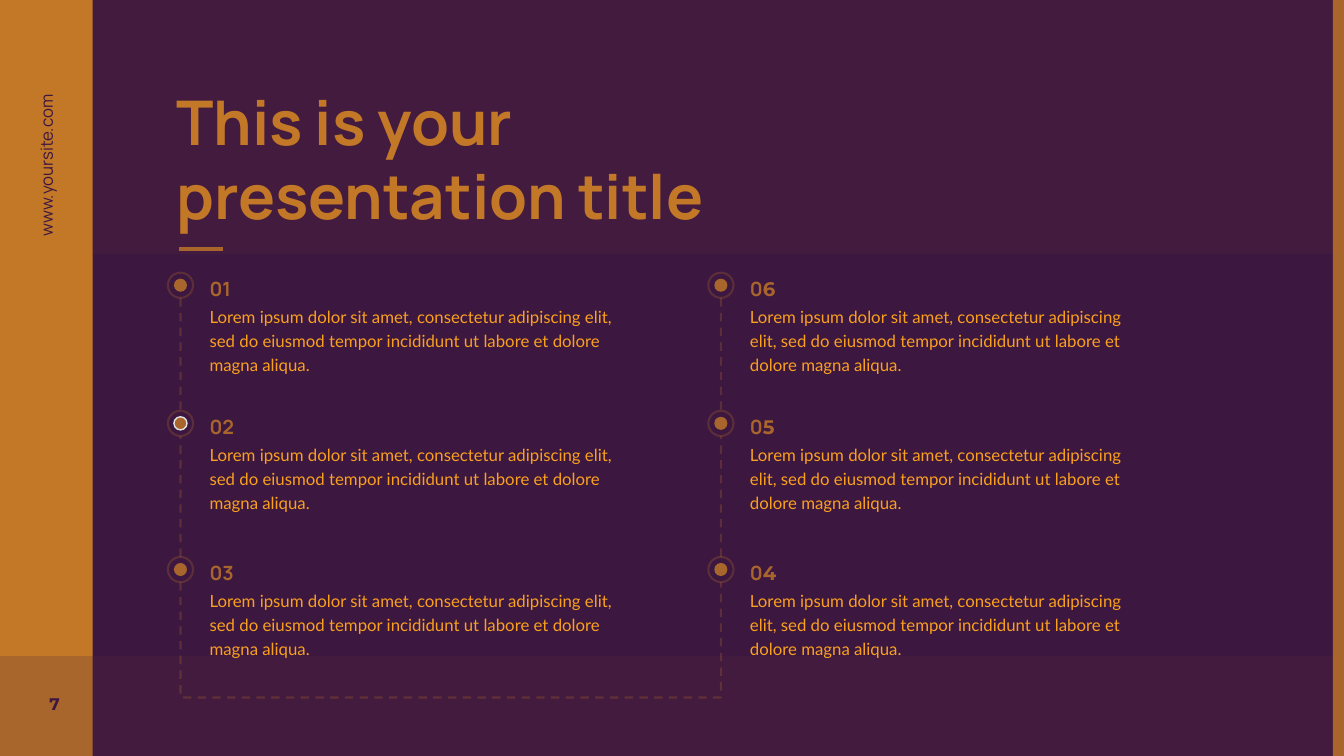
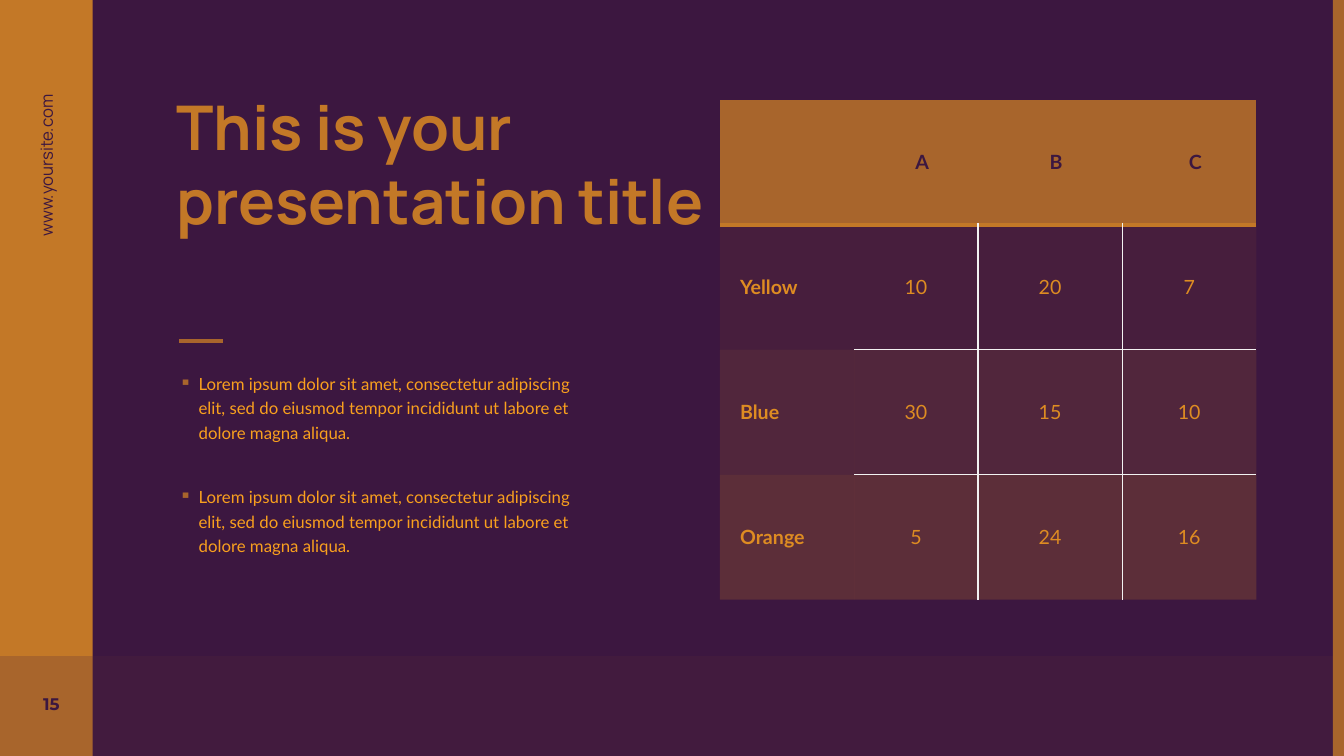
from lxml import etree
from pptx import Presentation
from pptx.dml.color import RGBColor
from pptx.enum.dml import MSO_LINE
from pptx.enum.shapes import MSO_CONNECTOR, MSO_SHAPE
from pptx.enum.text import MSO_ANCHOR, PP_ALIGN
from pptx.oxml.ns import qn
from pptx.util import Inches, Pt

RECT, OVAL = MSO_SHAPE.RECTANGLE, MSO_SHAPE.OVAL
STRAIGHT, DASH = MSO_CONNECTOR.STRAIGHT, MSO_LINE.DASH
LEFT, CENTER, RIGHT = PP_ALIGN.LEFT, PP_ALIGN.CENTER, PP_ALIGN.RIGHT
TOP, MIDDLE = MSO_ANCHOR.TOP, MSO_ANCHOR.MIDDLE

PLUM = RGBColor(0x3C, 0x17, 0x40)
OCHRE = RGBColor(0xC3, 0x78, 0x27)
BRONZE = RGBColor(0xA8, 0x65, 0x2C)
AMBER = RGBColor(0xDE, 0x8C, 0x22)
GOLD = RGBColor(0xF9, 0xA0, 0x1E)
SILVER = RGBColor(0xE1, 0xE1, 0xE1)
PALE = RGBColor(0xF2, 0xF2, 0xF2)

TITLE = dict(name="Manrope", size=Pt(44), bold=True, color=OCHRE)
SITE = dict(name="Manrope", size=Pt(12), color=PLUM)
PAGE = dict(name="Montserrat", size=Pt(12), bold=True, color=PLUM)
BODY = dict(name="Lato", size=Pt(12), color=GOLD)
STEP = dict(name="Manrope", size=Pt(14), bold=True, color=BRONZE)
STEP_ALT = dict(STEP, name="Montserrat")
HEAD = dict(name="Lato", size=Pt(14), bold=True, color=PLUM)
LABEL = dict(HEAD, color=AMBER)
VALUE = dict(LABEL, bold=False)

TITLE_TEXT = "This is your presentation title"
LOREM = ("Lorem ipsum dolor sit amet, consectetur adipiscing elit, sed do "
         "eiusmod tempor incididunt ut labore et dolore magna aliqua.")

# Timeline: node centres, body width and the runs of each step number
ROW_Y = [2.83, 4.2, 5.65]
COLUMNS = [
    (1.79, 4.22, [[(n, STEP)] for n in ("01", "02", "03")]),
    (7.15, 4.17, [[("0", STEP), (n, STEP_ALT)] for n in "654"]),
]
ACTIVE_STEP = (0, 1)
RING, DOT, ROUTE_BOTTOM = 0.25, 0.13, 6.92

TABLE = [
    ["", "A", "B", "C"],
    ["Yellow", "10", "20", "7"],
    ["Blue", "30", "15", "10"],
    ["Orange", "5", "24", "16"],
]
COL_WIDTHS = [1.33, 1.23, 1.43, 1.33]
ROW_HEIGHT = 1.24
BULLETS = [LOREM, LOREM]


def set_alpha(parent, percent):
    """Make the solid fill directly under parent partly transparent."""
    color = parent.find(qn("a:solidFill"))[0]
    etree.SubElement(color, qn("a:alpha"), val=str(percent * 1000))


def style_font(font, style):
    for key, value in style.items():
        if key == "color":
            font.color.rgb = value
        else:
            setattr(font, key, value)


def style_line(shape, color, width, alpha=None, dash=None):
    shape.line.color.rgb = color
    shape.line.width = Pt(width)
    if dash is not None:
        shape.line.dash_style = dash
    if alpha:
        set_alpha(shape.get_or_add_ln(), alpha)


def add_block(shapes, kind, box, fill, alpha=None):
    shape = shapes.add_shape(kind, *map(Inches, box))
    shape.shadow.inherit = False
    shape.fill.solid()
    shape.fill.fore_color.rgb = fill
    shape.line.fill.background()
    if alpha:
        set_alpha(shape._element.spPr, alpha)
    return shape


def add_line(s, start, end, color, width, **look):
    line = s.shapes.add_connector(STRAIGHT, *map(Inches, start + end))
    style_line(line, color, width, **look)
    etree.SubElement(line._element.spPr, qn("a:effectLst"))


def write_runs(p, runs):
    for text, style in runs:
        r = p.add_run()
        r.text = text
        style_font(r.font, style)


def add_text(s, box, runs, align=LEFT, anchor=TOP, spacing=None):
    sp = s.shapes.add_textbox(*map(Inches, box))
    tf = sp.text_frame
    tf.word_wrap = True
    tf.vertical_anchor = anchor
    p = tf.paragraphs[0]
    p.alignment = align
    if spacing:
        p.line_spacing = spacing
    write_runs(p, runs)
    return sp


def add_slide(prs, page):
    """Add a slide with the background, bands and footer that all share."""
    s = prs.slides.add_slide(prs.slide_layouts[6])
    s.background.fill.solid()
    s.background.fill.fore_color.rgb = PLUM
    add_block(s.shapes, RECT, (0, 6.51, 13.33, 0.99), OCHRE, alpha=5)
    add_block(s.shapes, RECT, (0, 0, 0.92, 6.51), OCHRE)
    add_block(s.shapes, RECT, (0, 6.51, 0.92, 0.99), BRONZE)
    add_block(s.shapes, RECT, (13.22, 0, 0.11, 7.5), BRONZE)
    add_text(s, (0.24, 6.78, 0.45, 0.4), [(page, PAGE)], RIGHT, MIDDLE)
    site = add_text(s, (-0.92, 2.07, 2.76, 0.3),
                    [("www.yoursite.com", SITE)], RIGHT)
    site.rotation = 270
    return s


def add_title(s, box, rule_y):
    add_text(s, box, [(TITLE_TEXT, TITLE)])
    add_line(s, (1.78, rule_y), (2.21, rule_y), BRONZE, 3)


def add_node(s, x, y, active):
    shapes = s.shapes.add_group_shape().shapes
    ring, dot = [
        add_block(shapes, OVAL, (x - d / 2, y - d / 2, d, d), fill)
        for d, fill in ((RING, PLUM), (DOT, BRONZE))
    ]
    style_line(ring, AMBER, 1.5, alpha=20)
    if active:
        style_line(dot, SILVER, 1)


def add_route(s):
    """Draw the dashed path down the first column and up the second."""
    look = dict(alpha=20, dash=DASH)
    xs = [x for x, _, _ in COLUMNS]
    top, bottom = ROW_Y[0] + RING / 2, ROW_Y[-1] - RING / 2
    for x in xs:
        add_line(s, (x, bottom), (x, top), AMBER, 1.5, **look)
    leave = ROW_Y[-1] + RING / 2
    start, *rest = [
        (Inches(x), Inches(y))
        for x, y in ((xs[0], leave), (xs[0], ROUTE_BOTTOM),
                     (xs[1], ROUTE_BOTTOM), (xs[1], leave))
    ]
    builder = s.shapes.build_freeform(*start)
    builder.add_line_segments(rest, close=False)
    turn = builder.convert_to_shape()
    turn.shadow.inherit = False
    turn.fill.background()
    style_line(turn, AMBER, 1.5, **look)


def build_timeline(prs):
    s = add_slide(prs, "7")
    add_block(s.shapes, RECT, (0.92, 0, 12.41, 2.52), OCHRE, alpha=5)
    add_route(s)
    for col, (x, width, numbers) in enumerate(COLUMNS):
        for row, (y, number) in enumerate(zip(ROW_Y, numbers)):
            add_text(s, (x + 0.19, y + 0.12, width, 0.81),
                     [(LOREM, BODY)], spacing=1.2)
            add_text(s, (x + 0.19, y - 0.18, 0.47, 0.37), number, spacing=1.2)
            add_node(s, x, y, (col, row) == ACTIVE_STEP)
    add_title(s, (1.65, 0.78, 7.27, 1.58), 2.47)


def cell_borders(row, col):
    """Give (colour, width) or None for the left, right, top, bottom edge."""
    last = len(TABLE) - 1
    thin, thick = (PALE, 1), (OCHRE, 3)
    inner = row > 0 and col > 0
    left = thin if inner and col > 1 else None
    right = thin if inner and col < len(COL_WIDTHS) - 1 else None
    top = thick if row == 1 else thin if inner else None
    bottom = thick if row == 0 else thin if inner and row < last else None
    return left, right, top, bottom


def set_borders(cell, borders):
    tc_pr = cell._tc.get_or_add_tcPr()
    for i, (side, border) in enumerate(zip("LRTB", borders)):
        ln = etree.Element(qn("a:ln" + side))
        if border:
            color, width = border
            ln.set("w", str(Pt(width)))
            fill = etree.SubElement(ln, qn("a:solidFill"))
            etree.SubElement(fill, qn("a:srgbClr"), val=str(color))
        else:
            etree.SubElement(ln, qn("a:noFill"))
        tc_pr.insert(i, ln)


def fill_cell(cell, row, col, text):
    if row == 0:
        style, align, margins = HEAD, CENTER, (0.2, 0.06, 0.08, 0.06)
    elif col == 0:
        style, align, margins = LABEL, LEFT, (0.2,) * 4
    else:
        style, align, margins = VALUE, CENTER, (0.08, 0.06, 0.08, 0.06)
    for side, margin in zip(("left", "top", "right", "bottom"), margins):
        setattr(cell, "margin_" + side, Inches(margin))
    cell.vertical_anchor = MIDDLE
    cell.fill.solid()
    cell.fill.fore_color.rgb = BRONZE
    if row:
        set_alpha(cell._tc.get_or_add_tcPr(), row * 10)
    set_borders(cell, cell_borders(row, col))
    p = cell.text_frame.paragraphs[0]
    p.alignment = align
    if text:
        write_runs(p, [(text, style)])


def add_data_table(s):
    box = (7.14, 0.99, sum(COL_WIDTHS), ROW_HEIGHT * len(TABLE))
    table = s.shapes.add_table(len(TABLE), len(COL_WIDTHS),
                               *map(Inches, box)).table
    table.first_row = table.horz_banding = False
    for column, width in zip(table.columns, COL_WIDTHS):
        column.width = Inches(width)
    for row, texts in enumerate(TABLE):
        table.rows[row].height = Inches(ROW_HEIGHT)
        for col, text in enumerate(texts):
            fill_cell(table.cell(row, col), row, col, text)


def add_bullets(s):
    tf = s.shapes.add_textbox(*map(Inches, (1.78, 3.67, 4.02, 1.85))).text_frame
    tf.word_wrap = True
    tf.margin_left = tf.margin_right = tf.margin_top = tf.margin_bottom = 0
    for i, text in enumerate(BULLETS):
        p = tf.add_paragraph() if i else tf.paragraphs[0]
        p_pr = p._p.get_or_add_pPr()
        p_pr.set("marL", str(Inches(0.19)))
        p_pr.set("indent", str(-Inches(0.19)))
        color = etree.SubElement(p_pr, qn("a:buClr"))
        etree.SubElement(color, qn("a:srgbClr"), val=str(BRONZE))
        etree.SubElement(p_pr, qn("a:buChar"), char="▪")
        p.line_spacing = 1.2
        if i:
            p.space_before = Pt(29)
        write_runs(p, [(text, BODY)])


def build_table_slide(prs):
    s = add_slide(prs, "15")
    add_data_table(s)
    add_bullets(s)
    add_title(s, (1.65, 0.83, 5.52, 2.32), 3.38)


def main():
    prs = Presentation()
    prs.slide_width, prs.slide_height = Inches(13.33), Inches(7.5)
    build_timeline(prs)
    build_table_slide(prs)
    prs.save("out.pptx")


if __name__ == "__main__":
    main()
